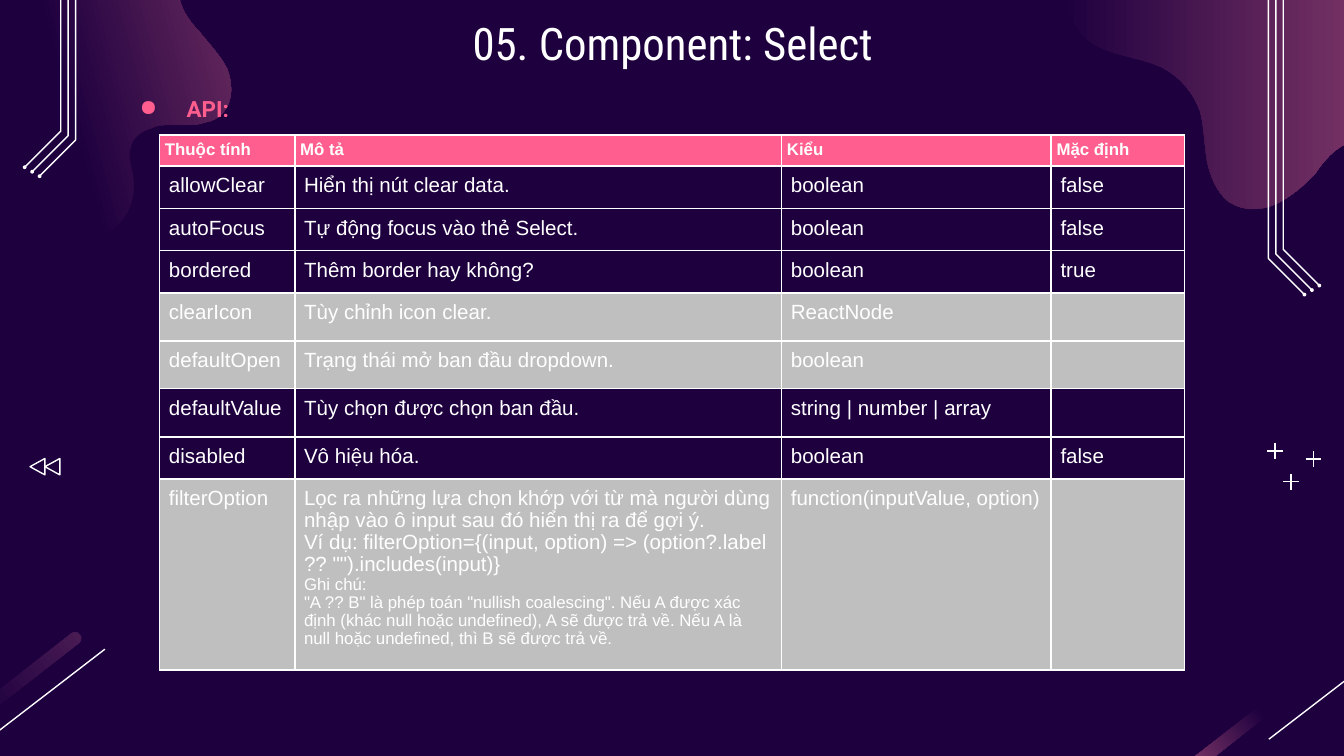
from dataclasses import dataclass

from lxml import etree
from pptx import Presentation
from pptx import util as u
from pptx.dml.color import RGBColor
from pptx.enum import shapes, text
from pptx.oxml.ns import qn


@dataclass(frozen=True)
class Theme:
    background: str = "1E003F"
    white: str = "FFFFFF"
    pink: str = "FF5E8E"
    glow: str = "A64D79"
    dim_glow: str = "4A1C54"
    muted: str = "BFBFBF"
    title_size: float = 24
    subtitle_size: float = 12
    body_size: float = 11
    small_size: float = 9
    hairline: float = 0.75
    border: float = 1


# Bezier outlines in hundredths of an inch: a start point, then one curve per row.
OUTLINE_UNIT = u.Pt(0.72)
LEFT_WAVE = ((48, 190), [
    (74, 183, 86, 169, 90, 165), (98, 156, 101, 143, 99, 131),
    (98, 124, 95, 117, 97, 111), (98, 102, 106, 97, 114, 95),
    (115, 94, 115, 94, 116, 94), (124, 92, 133, 93, 142, 93),
    (146, 93, 150, 92, 153, 91), (158, 90, 163, 88, 166, 84),
    (174, 75, 173, 61, 169, 51), (164, 41, 155, 32, 148, 23),
    (140, 15, 133, 4, 133, -7), (133, -16, 136, -25, 143, -31),
    (147, -35, 153, -38, 159, -39), (168, -42, 179, -42, 190, -41),
    (201, -41, 212, -40, 223, -42), (225, -43, 226, -43, 228, -43),
    (237, -46, 246, -51, 252, -58), (259, -66, 261, -78, 258, -87),
    (256, -105, 244, -125, 233, -134), (215, -150, 190, -155, 167, -151),
    (166, -150, 165, -150, 164, -150), (129, -140, 103, -110, 70, -95),
    (65, -93, 59, -91, 54, -90), (22, -81, -13, -85, -47, -82),
    (-62, -81, -77, -78, -91, -74), (-104, -71, -116, -67, -128, -61),
    (-145, -54, -162, -44, -174, -30), (-186, -17, -195, 2, -194, 22),
    (-193, 46, -176, 68, -156, 80), (-135, 93, -112, 97, -88, 99),
    (-74, 101, -60, 101, -46, 106), (-32, 110, -19, 119, -13, 133),
    (-8, 144, -8, 155, -3, 166), (6, 184, 29, 195, 47, 190)])
RIGHT_WAVE = ((1125, 38), [
    (1125, 13, 1118, -13, 1105, -35), (1094, -54, 1078, -70, 1058, -77),
    (1036, -85, 1012, -81, 989, -84), (967, -87, 945, -97, 929, -113),
    (918, -123, 909, -135, 897, -141), (883, -148, 867, -146, 852, -143),
    (840, -140, 828, -136, 819, -129), (803, -117, 796, -97, 793, -78),
    (790, -65, 789, -51, 789, -38), (789, -31, 789, -24, 790, -18),
    (791, 0, 796, 18, 809, 30), (825, 42, 847, 42, 864, 50),
    (878, 57, 888, 69, 893, 83), (896, 94, 896, 107, 898, 119),
    (900, 130, 905, 143, 914, 150), (924, 157, 938, 157, 949, 152),
    (960, 147, 969, 139, 978, 130), (983, 123, 988, 116, 995, 111),
    (1002, 106, 1010, 103, 1018, 106), (1033, 110, 1038, 130, 1052, 138),
    (1085, 157, 1108, 112, 1117, 88), (1122, 72, 1125, 55, 1125, 38)])

COLUMN_WIDTHS = (72.4, 260.8, 144.5, 71.4)
HEADER = ("Thuộc tính", "Mô tả", "Kiểu", "Mặc định")
FILTER_TEXT = (
    "Lọc ra những lựa chọn khớp với từ mà người dùng nhập vào ô input sau đó hiển thị ra để gợi ý.\n"
    "Ví dụ: filterOption={(input, option) => (option?.label ?? \"\").includes(input)}")
FILTER_NOTE = (
    "Ghi chú:\n"
    "\"A ?? B\" là phép toán \"nullish coalescing\". Nếu A được xác định (khác null hoặc undefined), "
    "A sẽ được trả về. Nếu A là null hoặc undefined, thì B sẽ được trả về.")
# Row height, whether the row is muted, and its cells.
ROWS = [
    (22.2, False, ("allowClear", "Hiển thị nút clear data.", "boolean", "false")),
    (22.2, False, ("autoFocus", "Tự động focus vào thẻ Select.", "boolean", "false")),
    (22.5, False, ("bordered", "Thêm border hay không?", "boolean", "true")),
    (25.6, True, ("clearIcon", "Tùy chỉnh icon clear.", "ReactNode", "")),
    (25.6, True, ("defaultOpen", "Trạng thái mở ban đầu dropdown.", "boolean", "")),
    (25.8, False, ("defaultValue", "Tùy chọn được chọn ban đầu.", "string | number | array", "")),
    (22.2, False, ("disabled", "Vô hiệu hóa.", "boolean", "false")),
    (99.4, True, ("filterOption", FILTER_TEXT, "function(inputValue, option)", "")),
]


def color(value):
    return RGBColor.from_string(value)


def write(paragraph, words, *, size, fill, font="Arial", bold=False, align=None, spacing=None):
    run = paragraph.add_run()
    run.text = words
    run.font.size, run.font.name, run.font.bold = u.Pt(size), font, bold
    run.font.color.rgb = color(fill)
    paragraph.alignment, paragraph.line_spacing = align, spacing


def bezier_points(start, curves, steps=8):
    points = [start]
    for ax, ay, bx, by, cx, cy in curves:
        x, y = points[-1]
        for step in range(1, steps + 1):
            t = step / steps
            weights = ((1 - t) ** 3, 3 * t * (1 - t) ** 2, 3 * t * t * (1 - t), t ** 3)
            points.append(tuple(sum(w * v for w, v in zip(weights, values))
                                for values in ((x, ax, bx, cx), (y, ay, by, cy))))
    return points


class Painter:
    def __init__(self, slide, theme):
        self.slide, self.theme = slide, theme
        slide.background.fill.solid()
        slide.background.fill.fore_color.rgb = color(theme.background)

    def finish(self, shape, fill=None, line=False):
        shape.shadow.inherit = False
        if fill:
            shape.fill.solid()
            shape.fill.fore_color.rgb = color(fill)
        else:
            shape.fill.background()
        if line:
            shape.line.color.rgb = color(self.theme.white)
            shape.line.width = u.Pt(self.theme.hairline)
        else:
            shape.line.fill.background()

    def glow(self, shape, end, start_at=0, angle=0):
        """Fade from the background to the end colour; angle runs counter-clockwise."""
        self.finish(shape)
        shape.fill.gradient()
        shape.fill.gradient_angle = angle
        stops = zip(shape.fill.gradient_stops, (start_at, 1), (self.theme.background, end))
        for stop, position, value in stops:
            stop.position, stop.color.rgb = position, color(value)

    def outline(self, points, unit, close):
        scaled = [(x * unit, y * unit) for x, y in points]
        builder = self.slide.shapes.build_freeform(*scaled[0])
        builder.add_line_segments(scaled[1:], close=close)
        return builder.convert_to_shape()

    def wave(self, curves, **gradient):
        self.glow(self.outline(bezier_points(*curves), OUTLINE_UNIT, True), self.theme.glow, **gradient)

    def preset(self, kind, center_x, center_y, width, height, rotation=0):
        shape = self.slide.shapes.add_shape(
            kind, u.Pt(center_x - width / 2), u.Pt(center_y - height / 2), u.Pt(width), u.Pt(height))
        shape.rotation = rotation
        return shape

    def streak(self, center_x, center_y, end, angle):
        shape = self.preset(shapes.MSO_SHAPE.ROUNDED_RECTANGLE, center_x, center_y, 134, 6.6, 322)
        shape.adjustments[0] = 0.5
        self.glow(shape, end, 0.5, angle)

    def line(self, *ends):
        connector = self.slide.shapes.add_connector(shapes.MSO_CONNECTOR.STRAIGHT, *map(u.Pt, ends))
        connector.line.color.rgb = color(self.theme.white)
        connector.line.width = u.Pt(self.theme.hairline)
        etree.SubElement(connector._element.spPr, qn("a:effectLst"))

    def rail(self, x, corner_y, direction, run=19.3):
        end_x, end_y = x + direction * run, corner_y + run
        self.finish(self.outline([(x, 0), (x, corner_y), (end_x, end_y)], u.Pt(1), False), line=True)
        self.finish(self.preset(shapes.MSO_SHAPE.OVAL, end_x, end_y, 2, 2), self.theme.white)

    def text_box(self, left, top, width, height, words, bullet=None, anchor=text.MSO_ANCHOR.TOP, **style):
        frame = self.slide.shapes.add_textbox(*map(u.Pt, (left, top, width, height))).text_frame
        frame.word_wrap, frame.vertical_anchor = True, anchor
        frame.margin_left = frame.margin_right = frame.margin_top = frame.margin_bottom = u.Pt(7.2)
        paragraph = frame.paragraphs[0]
        if bullet:
            properties = paragraph._p.get_or_add_pPr()
            properties.set("marL", str(u.Pt(36)))
            properties.set("indent", str(u.Pt(-25.2)))
            bullet_color = etree.SubElement(properties, qn("a:buClr"))
            etree.SubElement(bullet_color, qn("a:srgbClr"), val=style["fill"])
            etree.SubElement(properties, qn("a:buChar"), char=bullet)
        write(paragraph, words, **style)

    def cell(self, cell, blocks, fill, margin, **style):
        """Fill a cell with (words, size) blocks; each line is a paragraph."""
        properties = cell._tc.get_or_add_tcPr()
        for side in ("lnL", "lnR", "lnT", "lnB"):
            border = etree.SubElement(properties, qn(f"a:{side}"), w=str(u.Pt(self.theme.border)))
            solid = etree.SubElement(border, qn("a:solidFill"))
            etree.SubElement(solid, qn("a:srgbClr"), val=self.theme.white)
        if fill:
            cell.fill.solid()
            cell.fill.fore_color.rgb = color(fill)
        else:
            cell.fill.background()
        cell.margin_left = cell.margin_right = u.Pt(margin)
        lines = [(line, size) for words, size in blocks if words for line in words.split("\n")]
        cell.margin_top = cell.margin_bottom = u.Pt(margin if lines else 0)
        for index, (line, size) in enumerate(lines):
            paragraph = cell.text_frame.add_paragraph() if index else cell.text_frame.paragraphs[0]
            write(paragraph, line, size=size, fill=self.theme.white, **style)

    def api_table(self, left, top):
        theme = self.theme
        heights = [16.1] + [height for height, _, _ in ROWS]
        table = self.slide.shapes.add_table(
            len(heights), len(COLUMN_WIDTHS), u.Pt(left), u.Pt(top),
            u.Pt(sum(COLUMN_WIDTHS)), u.Pt(sum(heights))).table
        table.first_row = table.horz_banding = False
        for column, width in zip(table.columns, COLUMN_WIDTHS):
            column.width = u.Pt(width)
        for row, height in zip(table.rows, heights):
            row.height = u.Pt(height)
        for column, words in enumerate(HEADER):
            self.cell(table.cell(0, column), [(words, theme.small_size)], theme.pink, 2.9, bold=True)
        for row, (_, muted, values) in enumerate(ROWS, 1):
            for column, words in enumerate(values):
                blocks = [(words, theme.body_size)]
                if words == FILTER_TEXT:
                    blocks.append((FILTER_NOTE, theme.small_size))
                self.cell(table.cell(row, column), blocks, theme.muted if muted else None, 5, spacing=0.96)


def main():
    theme = Theme()
    presentation = Presentation()
    presentation.slide_width, presentation.slide_height = u.Pt(720), u.Pt(405)
    painter = Painter(presentation.slides.add_slide(presentation.slide_layouts[6]), theme)

    painter.wave(LEFT_WAVE, start_at=0.5, angle=15)
    painter.wave(RIGHT_WAVE)
    for x, end, angle in ((-10, theme.dim_glow, 0), (676.3, theme.glow, 180)):
        painter.streak(x, 381.2, end, angle)
        painter.line(x + 66.2, 347.8, x + 3.5, 396)
    for index in range(3):
        x, corner_y = 679.5 + 4 * index, 138.5 - 2.4 * index
        painter.rail(x, corner_y, 1)
        painter.rail(720 - x, corner_y - 63.4, -1)
    for x, y in ((691.6, 258.1), (703.6, 246), (683, 241.7)):
        painter.line(x - 4.2, y, x + 4.2, y)
        painter.line(x, y - 4.2, x, y + 4.2)
    for x in (20.1, 28.1):
        painter.finish(painter.preset(shapes.MSO_SHAPE.ISOSCELES_TRIANGLE, x, 250, 8.8, 8, 270), line=True)

    painter.text_box(56.9, 36.7, 584.6, 33.1, "API:", bullet="●", size=theme.subtitle_size,
                     fill=theme.pink, font="Roboto", bold=True, spacing=1.5)
    painter.text_box(56.9, 0, 607, 45.4, "05. Component: Select", anchor=text.MSO_ANCHOR.MIDDLE,
                     size=theme.title_size, fill=theme.white, font="Roboto Condensed",
                     align=text.PP_ALIGN.CENTER)
    painter.api_table(85.5, 72.3)
    presentation.save("out.pptx")


if __name__ == "__main__":
    main()
